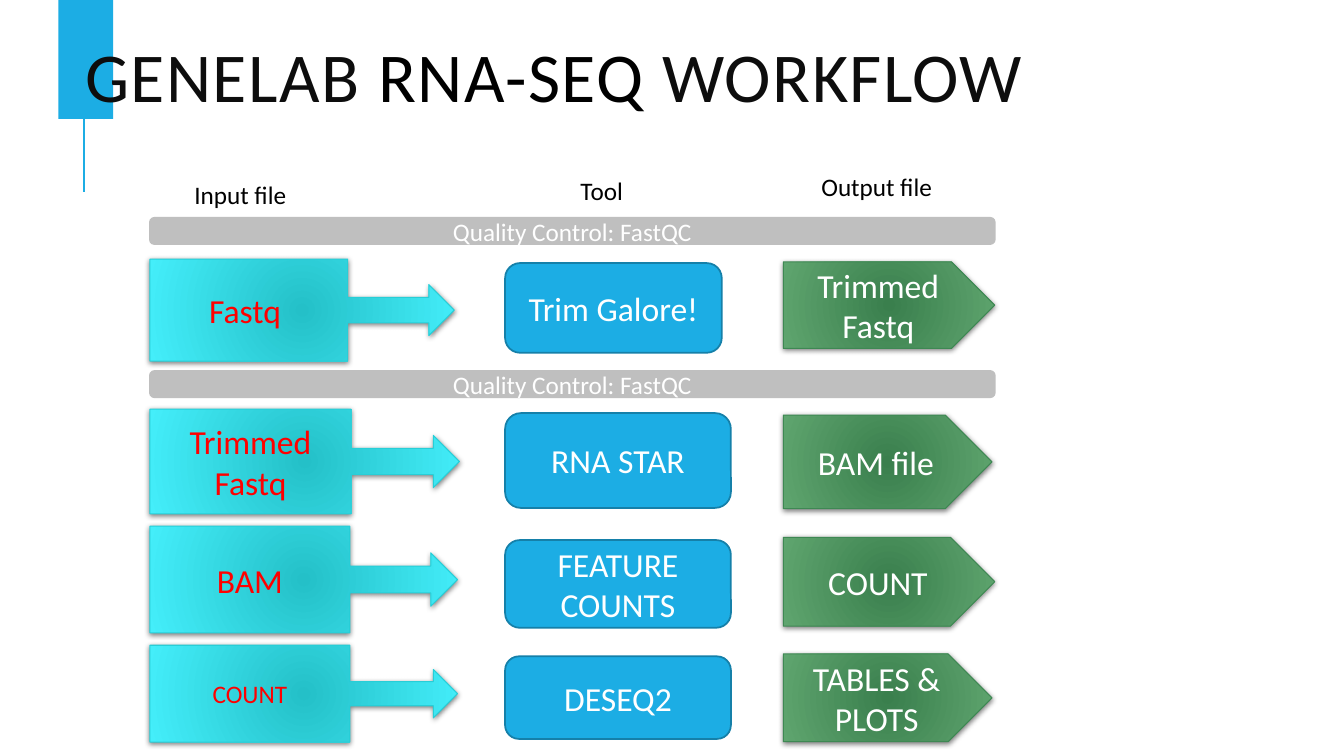
import pptx
import pptx.util
import pptx.dml.color
import pptx.enum.shapes
import pptx.enum.text
import pptx.oxml.ns
import lxml.etree

Cm = pptx.util.Cm
Pt = pptx.util.Pt
qn = pptx.oxml.ns.qn
PRESET = pptx.enum.shapes.MSO_SHAPE
ALIGN = pptx.enum.text.PP_ALIGN
ANCHOR = pptx.enum.text.MSO_ANCHOR

COLOURS = {
    "accent": "1CADE4", "tool_edge": "1580A9",
    "input_core": "24C0C8", "input_rim": "44EEFA", "input_edge": "27CED7",
    "output_core": "3A7F4D", "output_rim": "5FA56F", "output_edge": "3E8853",
    "control": "BFBFBF", "title": "0D0D0D",
    "black": "000000", "white": "FFFFFF", "red": "FF0000",
}


def rgb(name):
    return pptx.dml.color.RGBColor.from_string(COLOURS[name])


def write_text(frame, runs, size=24, align=ALIGN.CENTER, anchor=ANCHOR.MIDDLE,
               line_spacing=None, tracking=None, wrap=True):
    frame.word_wrap = wrap
    frame.vertical_anchor = anchor
    paragraph = frame.paragraphs[0]
    paragraph.alignment = align
    if line_spacing:
        paragraph.line_spacing = line_spacing
    for words, colour in runs:
        run = paragraph.add_run()
        run.text = words
        run.font.name = "Calibri"
        run.font.size = Pt(size)
        run.font.color.rgb = rgb(colour)
        if tracking:
            run._r.get_or_add_rPr().set("spc", str(tracking))


class WorkflowSlide:
    def __init__(self, slide):
        self.shapes = slide.shapes

    def block(self, preset, box, fill, edge=None, edge_width=1.25):
        block = self.shapes.add_shape(preset, *map(Cm, box))
        block.shadow.inherit = False
        if isinstance(fill, tuple):
            self.glow(block, fill)
        else:
            block.fill.solid()
            block.fill.fore_color.rgb = rgb(fill)
        if edge:
            block.line.color.rgb = rgb(edge)
            block.line.width = Pt(edge_width)
        else:
            block.line.fill.background()
        return block

    def glow(self, block, stops):
        block.fill.gradient()
        for stop, colour in zip(block.fill.gradient_stops, stops):
            stop.color.rgb = rgb(colour)
        properties = block._element.spPr
        gradient = properties.find(qn("a:gradFill"))
        gradient.remove(gradient.find(qn("a:lin")))
        circle = lxml.etree.SubElement(gradient, qn("a:path"), path="circle")
        lxml.etree.SubElement(circle, qn("a:fillToRect"),
                              l="100000", t="100000", r="100000", b="100000")
        shade = lxml.etree.SubElement(
            properties.find(qn("a:effectLst")), qn("a:outerShdw"),
            blurRad=str(Pt(4)), dist=str(Pt(1)), dir="5400000", rotWithShape="0")
        tone = lxml.etree.SubElement(shade, qn("a:srgbClr"), val=COLOURS["black"])
        lxml.etree.SubElement(tone, qn("a:alpha"), val="50000")

    def input_file(self, words, top, width, height, size=24):
        callout = self.block(PRESET.RIGHT_ARROW_CALLOUT, (3.78, top, width, height),
                             ("input_core", "input_rim"), "input_edge", 0.75)
        write_text(callout.text_frame, [(words, "red")], size=size)

    def tool(self, words, top, width, height):
        process = self.block(PRESET.FLOWCHART_ALTERNATE_PROCESS,
                             (12.73, top, width, height), "accent", "tool_edge")
        write_text(process.text_frame, [(words, "white")])

    def output_file(self, words, top, width, height):
        pentagon = self.block(PRESET.PENTAGON, (19.74, top, width, height),
                              ("output_core", "output_rim"), "output_edge", 0.75)
        write_text(pentagon.text_frame, [(words, "white")])

    def quality_control(self, top):
        bar = self.block(PRESET.ROUNDED_RECTANGLE, (3.78, top, 21.29, 0.66),
                         "control", "control")
        write_text(bar.text_frame, [("Quality Control: FastQC", "white")], size=18)

    def label(self, runs, box, **style):
        label = self.shapes.add_textbox(*map(Cm, box))
        write_text(label.text_frame, runs, align=ALIGN.LEFT, **style)

    def rule(self, x, top, bottom):
        rule = self.shapes.add_connector(pptx.enum.shapes.MSO_CONNECTOR.STRAIGHT,
                                         Cm(x), Cm(bottom), Cm(x), Cm(top))
        rule.line.color.rgb = rgb("accent")
        rule.line.width = Pt(1.5)
        lxml.etree.SubElement(rule._element.spPr, qn("a:effectLst"))


def main():
    deck = pptx.Presentation()
    deck.slide_width, deck.slide_height = Cm(33.87), Cm(19.05)
    workflow = WorkflowSlide(deck.slides.add_slide(deck.slide_layouts[6]))

    workflow.rule(2.11, 2.29, 4.83)
    workflow.block(PRESET.RECTANGLE, (1.47, 0, 1.38, 3), "accent")
    workflow.label([("GENELAB ", "title"), ("RNA-SEQ", "black"), (" WORKFLOW", "title")],
                   (1.9, 0, 27.94, 4.17), size=50, line_spacing=0.8, tracking=100)

    steps = [
        (("Fastq ", 6.53, 7.67, 2.57), ("Trim Galore!", 6.63, 5.46, 2.26),
         ("Trimmed Fastq", 6.6, 5.33, 2.18)),
        (("Trimmed Fastq", 10.31, 7.8, 2.64), ("RNA STAR", 10.41, 5.69, 2.39),
         ("BAM file", 10.46, 5.26, 2.36)),
        (("BAM", 13.26, 7.75, 2.69), ("FEATURE COUNTS", 13.61, 5.69, 2.21),
         ("COUNT", 13.54, 5.33, 2.24)),
        (("COUNT", 16.26, 7.75, 2.44, 18), ("DESEQ2", 16.54, 5.69, 2.08),
         ("TABLES & PLOTS", 16.48, 5.26, 2.21)),
    ]
    for source, tool, result in steps:
        workflow.input_file(*source)
        workflow.tool(*tool)
        workflow.output_file(*result)

    headings = [("Input file", 4.65, 4.39, 3.05), ("Tool", 14.38, 4.29, 3.07),
                ("Output file", 20.45, 4.19, 3.33)]
    for heading, left, top, width in headings:
        workflow.label([(heading, "black")], (left, top, width, 1.02),
                       size=18, anchor=ANCHOR.TOP)

    for top in (5.49, 9.35):
        workflow.quality_control(top)

    deck.save("out.pptx")


if __name__ == "__main__":
    main()
